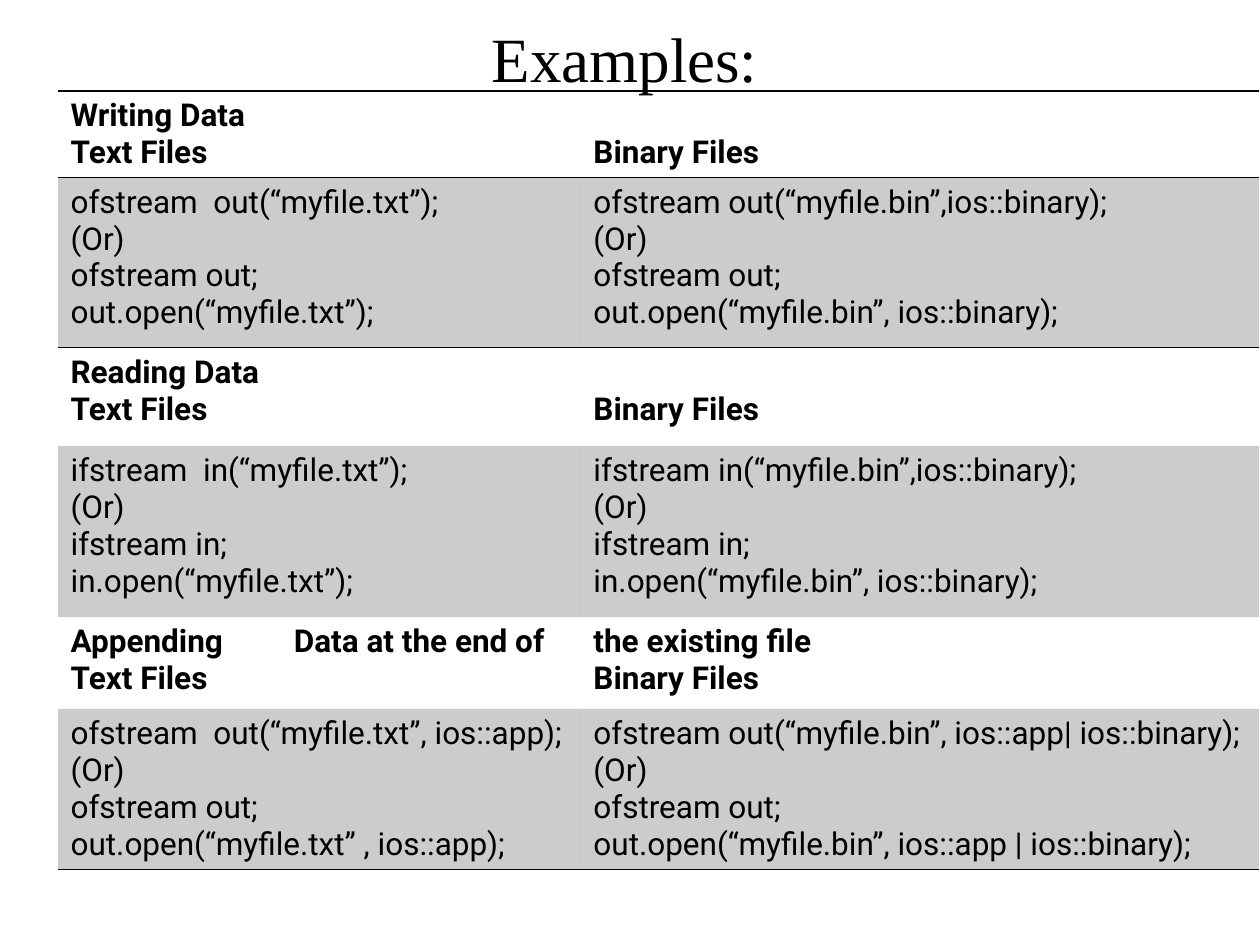
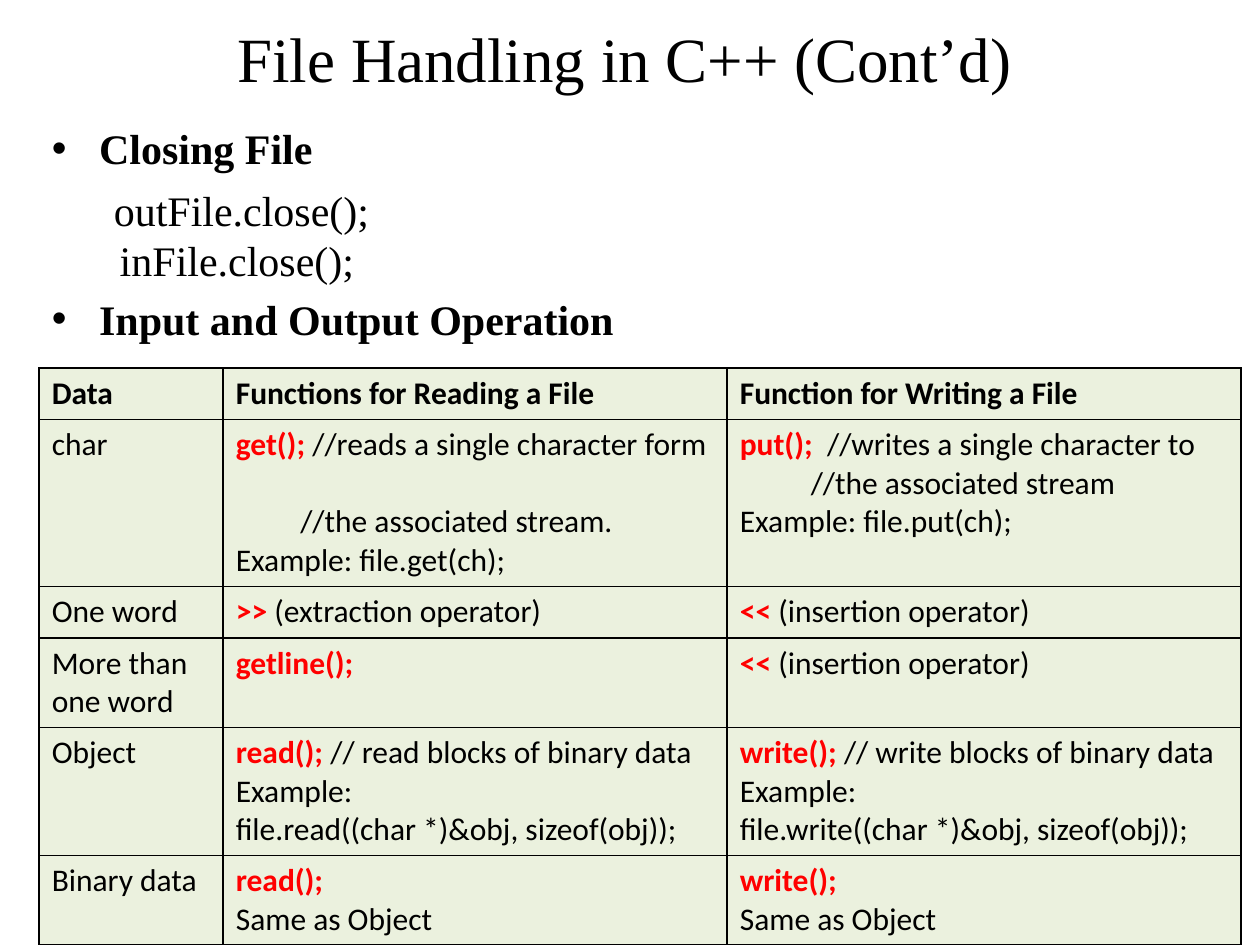
"""Builds two slides on file handling in C++."""
from dataclasses import dataclass

from lxml.etree import SubElement
from pptx import Presentation
from pptx.dml.color import RGBColor
from pptx.enum.text import MSO_ANCHOR, PP_ALIGN
from pptx.oxml.ns import qn
from pptx.util import Cm, Pt

COLORS = {"ink": "000000", "code": "FF0000", "leaf": "EBF1DE"}
SERIF, SANS, CODE = "Times New Roman", "Calibri", "Roboto"
PLAIN_TABLE = "{2D5ABB26-0587-4C30-8999-92F81FD0307C}"


@dataclass
class Line:
    """One line of a cell: a red mark, then text; lengths in cm, space in points."""
    text: str = ""
    mark: str = ""
    indent: float = 0
    before: float = 0
    tab: float = 0


def write(para, text, size=18, font=SANS, color="ink", bold=False):
    """Adds formatted text to a paragraph."""
    span = para.add_run()
    span.text = text
    span.font.size = Pt(size)
    span.font.name = font
    span.font.bold = bold
    span.font.color.rgb = RGBColor.from_string(COLORS[color])
    return span


def next_para(frame, index):
    """Returns the first paragraph, or a new one after it."""
    return frame.add_paragraph() if index else frame.paragraphs[0]


class Deck:
    """Holds the presentation, its style and the current slide."""

    def __init__(self):
        self.deck = Presentation()
        self.deck.slide_width, self.deck.slide_height = Cm(25.4), Cm(19.05)
        self.page = None

    def place(self, box, left, top, width, height):
        box.left, box.top = Cm(left), Cm(top)
        box.width, box.height = Cm(width), Cm(height)

    def slide(self, title, layout):
        self.page = self.deck.slides.add_slide(self.deck.slide_layouts.get_by_name(layout))
        box = self.page.shapes.title
        self.place(box, 0.38, 0.2, 24.43, 1.91)
        box.text_frame.vertical_anchor = MSO_ANCHOR.MIDDLE
        para = box.text_frame.paragraphs[0]
        para.alignment = PP_ALIGN.CENTER
        write(para, title, size=36, font=SERIF)

    def body(self, items):
        box = self.page.placeholders[1]
        self.place(box, 0.79, 2.34, 23.93, 15.24)
        for index, (heading, calls) in enumerate(items):
            para = next_para(box.text_frame, index)
            write(para, heading, size=24, font=SERIF, bold=True)
            if calls:
                para = box.text_frame.add_paragraph()
                props = para._p.get_or_add_pPr()
                props.set("marL", str(Cm(1.37)))
                props.set("indent", str(Cm(-0.12)))
                SubElement(props, qn("a:buNone"))
                for number, call in enumerate(calls):
                    if number:
                        para.add_line_break()
                    write(para, call, size=24, font=SERIF)

    def table(self, left, top, widths, heights):
        frame = self.page.shapes.add_table(
            len(heights), len(widths), Cm(left), Cm(top), Cm(sum(widths)), Cm(sum(heights)))
        table = frame.table
        table.first_row = table.horz_banding = False
        table._tbl.tblPr.find(qn("a:tableStyleId")).text = PLAIN_TABLE
        for column, width in zip(table.columns, widths):
            column.width = Cm(width)
        for row, height in zip(table.rows, heights):
            row.height = Cm(height)
        return table

    def cell(self, cell, lines, font=SANS, bold=False, fill=None, alpha=100, borders=""):
        for index, line in enumerate(lines):
            line = Line(line) if isinstance(line, str) else line
            para = next_para(cell.text_frame, index)
            if line.before:
                para.space_before = Pt(line.before)
            props = para._p.get_or_add_pPr()
            if line.indent:
                props.set("marL", str(Cm(line.indent)))
            if line.tab:
                stops = SubElement(props, qn("a:tabLst"))
                SubElement(stops, qn("a:tab"), pos=str(Cm(line.tab)), algn="l")
            if line.mark:
                write(para, line.mark, font=font, color="code", bold=True)
            if line.text:
                write(para, line.text, font=font, bold=bold)
        for side in borders:
            self.border(cell, side)
        if fill is None:
            cell.fill.background()
            return
        cell.fill.solid()
        cell.fill.fore_color.rgb = RGBColor.from_string(COLORS[fill])
        if alpha < 100:
            color = cell._tc.tcPr.find(qn("a:solidFill"))[0]
            SubElement(color, qn("a:alpha"), val=str(alpha * 1000))

    def border(self, cell, side):
        edge = SubElement(cell._tc.get_or_add_tcPr(), qn("a:ln" + side), w=str(Pt(1)))
        SubElement(SubElement(edge, qn("a:solidFill")), qn("a:srgbClr"), val=COLORS["ink"])


def opening(kind, name, suffix, mode, late_mode, gap=" "):
    """Returns the two ways to open a file stream."""
    return [f"{kind}{gap}{name}(“myfile.{suffix}”{mode});", "(Or)",
            f"{kind} {name};", f"{name}.open(“myfile.{suffix}”{late_mode});"]


def examples(deck):
    """Builds the slide that compares text and binary files."""
    deck.slide("Examples:", "Title Only")
    table = deck.table(1.17, 1.83, [10.54, 13.67], [1.75, 3.43, 1.98, 3.45, 1.85, 3.23])
    appending = Line("Appending\tData at the end of", tab=4.5)
    binary = ",ios::binary", ", ios::binary"
    sections = [
        ("Writing Data", None, "ofstream", "out", ("", ""), binary),
        ("Reading Data", None, "ifstream", "in", ("", ""), binary),
        (appending, "the existing file", "ofstream", "out", (", ios::app", " , ios::app"),
         (", ios::app| ios::binary", ", ios::app | ios::binary")),
    ]
    for index, (left, right, kind, name, text_modes, binary_modes) in enumerate(sections):
        row = 2 * index
        edges = "" if index else "TB"
        heads = [[left, "Text Files"], [right, "Binary Files"] if right else ["Binary Files"]]
        codes = [opening(kind, name, "txt", *text_modes, gap="  "),
                 opening(kind, name, "bin", *binary_modes)]
        for column in range(2):
            head = table.cell(row, column)
            deck.cell(head, heads[column], font=CODE, bold=True, borders=edges)
            if len(heads[column]) == 1:
                head.margin_top = Cm(0.87)
            deck.cell(table.cell(row + 1, column), codes[column], font=CODE, fill="ink",
                      alpha=20, borders=["T", "", "B"][index])


def operations(deck):
    """Builds the slide on closing files and on input and output."""
    deck.slide("File Handling in C++ (Cont’d)", "Title and Content")
    deck.body([("Closing File", ["outFile.close();", "inFile.close();"]),
               ("Input and Output Operation", [])])
    insertion = [Line(" (insertion operator)", "<<")]
    rows = [
        (["Data"], ["Functions for Reading a File"], ["Function for Writing a File"]),
        (["char"],
         [Line("//reads a single character form", "get(); "),
          Line("//the associated stream.", indent=1.3, before=22), "Example: file.get(ch);"],
         [Line("//writes a single character to", "put();  "),
          Line("//the associated stream", indent=1.43), "Example: file.put(ch);"]),
        (["One word"], [Line(" (extraction operator)", ">>")], insertion),
        (["More than one word"], [Line(mark="getline();")], insertion),
        (["Object"], *([Line(f"// {verb} blocks of binary data", f"{verb}(); "), "Example:",
                        f"file.{verb}((char *)&obj, sizeof(obj));"]
                       for verb in ("read", "write"))),
        (["Binary data"], *([Line(mark=f"{verb}();"), "Same as Object"]
                            for verb in ("read", "write"))),
    ]
    table = deck.table(0.79, 7.42, [3.71, 10.16, 10.36], [1.04, 3.36, 1.04, 1.79, 2.58, 1.79])
    for row, cells in enumerate(rows):
        for column, lines in enumerate(cells):
            deck.cell(table.cell(row, column), lines, bold=row == 0, fill="leaf", borders="LRTB")


def main():
    """Builds and saves the deck."""
    deck = Deck()
    examples(deck)
    operations(deck)
    deck.deck.save("out.pptx")


main()
